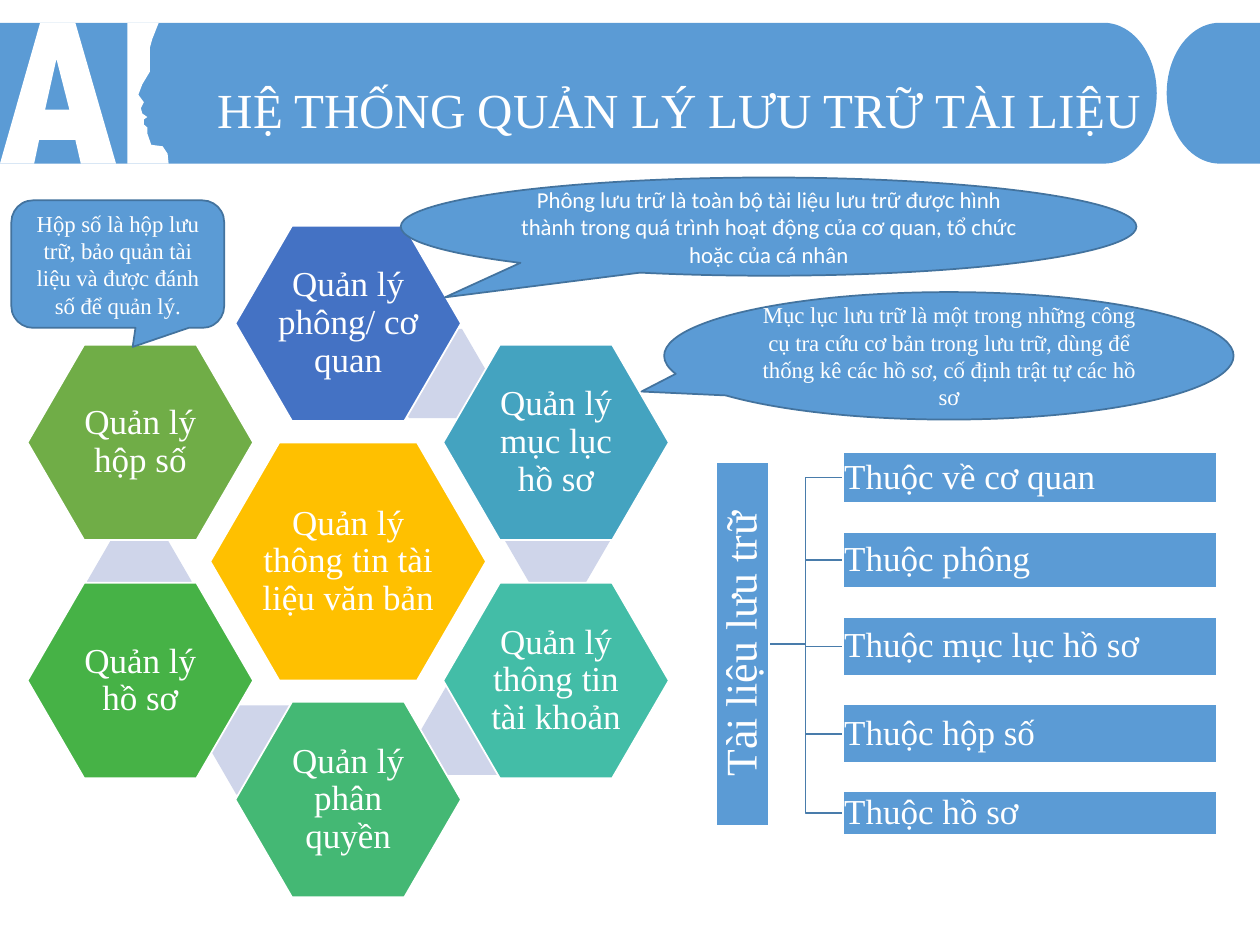
from dataclasses import dataclass
from math import cos, pi, sin

from lxml import etree
from pptx import Presentation
from pptx.dml.color import RGBColor
from pptx.enum.shapes import MSO_CONNECTOR, MSO_SHAPE
from pptx.enum.text import MSO_ANCHOR, PP_ALIGN
from pptx.oxml.ns import qn
from pptx.util import Cm, Pt

HEXAGON = MSO_SHAPE.HEXAGON
RECTANGLE = MSO_SHAPE.RECTANGLE
ELLIPSE_CALLOUT = MSO_SHAPE.OVAL_CALLOUT
ROUND_CALLOUT = MSO_SHAPE.ROUNDED_RECTANGULAR_CALLOUT
ELBOW = MSO_CONNECTOR.ELBOW
LEFT, CENTER = PP_ALIGN.LEFT, PP_ALIGN.CENTER
MIDDLE = MSO_ANCHOR.MIDDLE


@dataclass(frozen=True)
class Theme:
    serif: str = "Times New Roman"
    sans: str = "Calibri"
    white: str = "FFFFFF"
    blue: str = "5B9BD5"
    callout_edge: str = "43739E"
    branch: str = "497CAB"
    bridge: str = "CFD5EA"
    core: str = "FFC000"
    title_size: int = 28
    label_size: int = 25
    node_size: int = 20
    note_size: int = 13


def arc(center_x, center_y, radius_x, radius_y, start, steps=40):
    angles = [start + pi * i / steps for i in range(steps + 1)]
    return [(center_x + radius_x * cos(a), center_y + radius_y * sin(a)) for a in angles]


class SlideBuilder:
    def __init__(self, slide, theme):
        self.shapes = slide.shapes
        self.theme = theme

    def paint(self, shape, fill, edge=None):
        shape.shadow.inherit = False
        shape.fill.solid()
        shape.fill.fore_color.rgb = RGBColor.from_string(fill)
        if edge:
            shape.line.color.rgb = RGBColor.from_string(edge)
            shape.line.width = Pt(1)
        else:
            shape.line.fill.background()

    def set_text(self, shape, text, size, align=CENTER, font=None, spacing=0.9, margins=(0.25, 0.13)):
        frame = shape.text_frame
        frame.word_wrap = True
        frame.vertical_anchor = MIDDLE
        frame.margin_left = frame.margin_right = Cm(margins[0])
        frame.margin_top = frame.margin_bottom = Cm(margins[1])
        paragraph = frame.paragraphs[0]
        paragraph.text = text
        paragraph.alignment = align
        paragraph.line_spacing = spacing
        paragraph.font.name = font or self.theme.serif
        paragraph.font.size = Pt(size)
        paragraph.font.color.rgb = RGBColor.from_string(self.theme.white)

    def outline(self, contours, fill):
        builder = None
        for contour in contours:
            points = [(Cm(x), Cm(y)) for x, y in contour]
            if builder is None:
                builder = self.shapes.build_freeform(*points[0])
            else:
                builder.move_to(*points[0])
            builder.add_line_segments(points[1:], close=True)
        self.paint(builder.convert_to_shape(), fill)

    def title(self, text, box):
        heading = self.shapes.add_textbox(*map(Cm, box))
        self.set_text(heading, text, self.theme.title_size, LEFT)

    def hexagon(self, center, size, fill, text=None):
        (x, y), (width, height) = center, size
        cell = self.shapes.add_shape(
            HEXAGON, Cm(x - width / 2), Cm(y - height / 2), Cm(width), Cm(height))
        cell.adjustments[0] = 0.29
        self.paint(cell, fill, self.theme.white if text else None)
        if text:
            self.set_text(cell, text, self.theme.node_size, margins=(0.08, 0.08))

    def bar(self, text, box, size, align=LEFT, rotation=0):
        bar = self.shapes.add_shape(RECTANGLE, *map(Cm, box))
        bar.rotation = rotation
        self.paint(bar, self.theme.blue, self.theme.white)
        self.set_text(bar, text, size, align, margins=(0.03, 0.03))

    def branch(self, start, end):
        branch = self.shapes.add_connector(ELBOW, *map(Cm, start + end))
        branch.line.color.rgb = RGBColor.from_string(self.theme.branch)
        branch.line.width = Pt(1)
        etree.SubElement(branch._element.spPr, qn("a:effectLst"))

    def callout(self, kind, text, box, tail, font):
        callout = self.shapes.add_shape(kind, *map(Cm, box))
        for i, value in enumerate(tail):
            callout.adjustments[i] = value
        self.paint(callout, self.theme.blue, self.theme.callout_edge)
        self.set_text(callout, text, self.theme.note_size, font=font, spacing=1.0, margins=(0.2, 0.13))


def draw_header(builder, theme):
    top, bottom = 0.46, 3.3
    middle, radius_x, radius_y = 1.88, 1.07, 1.42
    banner = [(0, top)] + arc(22.25, middle, radius_x, radius_y, -pi / 2) + [(0, bottom)]
    banner_end = [(25.4, bottom)] + arc(24.59, middle, radius_x, radius_y, pi / 2) + [(25.4, top)]
    letter = [(0.81, top), (1.52, top), (2.34, bottom), (1.63, bottom),
              (1.52, 2.82), (0.79, 2.82), (0.69, bottom), (0, bottom)]
    letter_hole = [(1.14, 1.19), (0.91, 2.21), (1.4, 2.21)]
    profile = [(2.57, top), (3.2, top), (3.07, 0.79), (3.02, 0.97), (3.02, 1.45),
               (2.87, 1.7), (2.79, 1.91), (2.9, 2.06), (2.84, 2.18), (2.87, 2.29),
               (2.97, 2.36), (2.9, 2.41), (2.9, 2.51), (2.97, 2.57), (2.97, 2.69),
               (3.05, 2.92), (3.28, 2.95), (3.38, 3.1), (3.4, bottom), (2.57, bottom)]
    builder.outline([banner], theme.blue)
    builder.outline([letter, letter_hole, profile], theme.white)
    builder.outline([banner_end], theme.blue)
    builder.title("HỆ THỐNG QUẢN LÝ LƯU TRỮ TÀI LIỆU", (4.14, 0, 20.37, 4.55))


def draw_modules(builder, theme):
    core_x, core_y = 7.02, 11.32
    column_step, row_step = 4.19, 2.4
    modules = [
        ("Quản lý phông/ cơ quan", 0, -2, "4472C4", (8.78, 7.53)),
        ("Quản lý mục lục hồ sơ", 1, -1, "44A3C0", (11.24, 10.91)),
        ("Quản lý thông tin tài khoản", 1, 1, "43BDA7", (9.54, 14.72)),
        ("Quản lý phân quyền", 0, 2, "44B874", (5.3, 15.12)),
        ("Quản lý hồ sơ", -1, 1, "46B246", (2.81, 11.72)),
        ("Quản lý hộp số", -1, -1, "70AD47", None),
    ]
    builder.hexagon((core_x, core_y), (5.56, 4.8), theme.core, "Quản lý thông tin tài liệu văn bản")
    for text, column, row, fill, bridge in modules:
        if bridge:
            builder.hexagon(bridge, (2.11, 1.8), theme.bridge)
        center = (core_x + column * column_step, core_y + row * row_step)
        builder.hexagon(center, (4.55, 3.94), fill, text)


def draw_tree(builder, theme):
    root, bar_left, bar_width = (15.49, 12.98), 16.99, 7.54
    levels = [
        ("Thuộc về cơ quan", 9.12, 1.02),
        ("Thuộc phông", 10.72, 1.14),
        ("Thuộc mục lục hồ sơ", 12.45, 1.17),
        ("Thuộc hộp số", 14.2, 1.19),
        ("Thuộc hồ sơ", 15.95, 0.89),
    ]
    for _, top, height in levels:
        builder.branch(root, (bar_left, top + height / 2))
    builder.bar("Tài liệu lưu trữ", (11.3, 12.45, 7.34, 1.07), theme.label_size, CENTER, 270)
    for text, top, height in levels:
        builder.bar(text, (bar_left, top, bar_width, height), theme.node_size)


def draw_notes(builder, theme):
    builder.callout(
        ELLIPSE_CALLOUT,
        "Phông lưu trữ là toàn bộ tài liệu lưu trữ được hình thành trong quá trình "
        "hoạt động của cơ quan, tổ chức hoặc của cá nhân",
        (8.08, 3.58, 14.83, 1.98), (-0.44, 0.72), theme.sans)
    builder.callout(
        ROUND_CALLOUT,
        "Hộp số là hộp lưu trữ, bảo quản tài liệu và được đánh số để quản lý.",
        (0.23, 4.04, 4.29, 2.57), (0.07, 0.65, 0.17), theme.serif)
    builder.callout(
        ELLIPSE_CALLOUT,
        "Mục lục lưu trữ là một trong những công cụ tra cứu cơ bản trong lưu trữ, "
        "dùng để thống kê các hồ sơ, cố định trật tự các hồ sơ",
        (13.39, 5.89, 11.48, 2.57), (-0.54, 0.28), theme.serif)


def main():
    presentation = Presentation()
    presentation.slide_width, presentation.slide_height = Cm(25.4), Cm(19.05)
    theme = Theme()
    builder = SlideBuilder(presentation.slides.add_slide(presentation.slide_layouts[6]), theme)
    for draw in (draw_header, draw_modules, draw_tree, draw_notes):
        draw(builder, theme)
    presentation.save("out.pptx")


if __name__ == "__main__":
    main()
